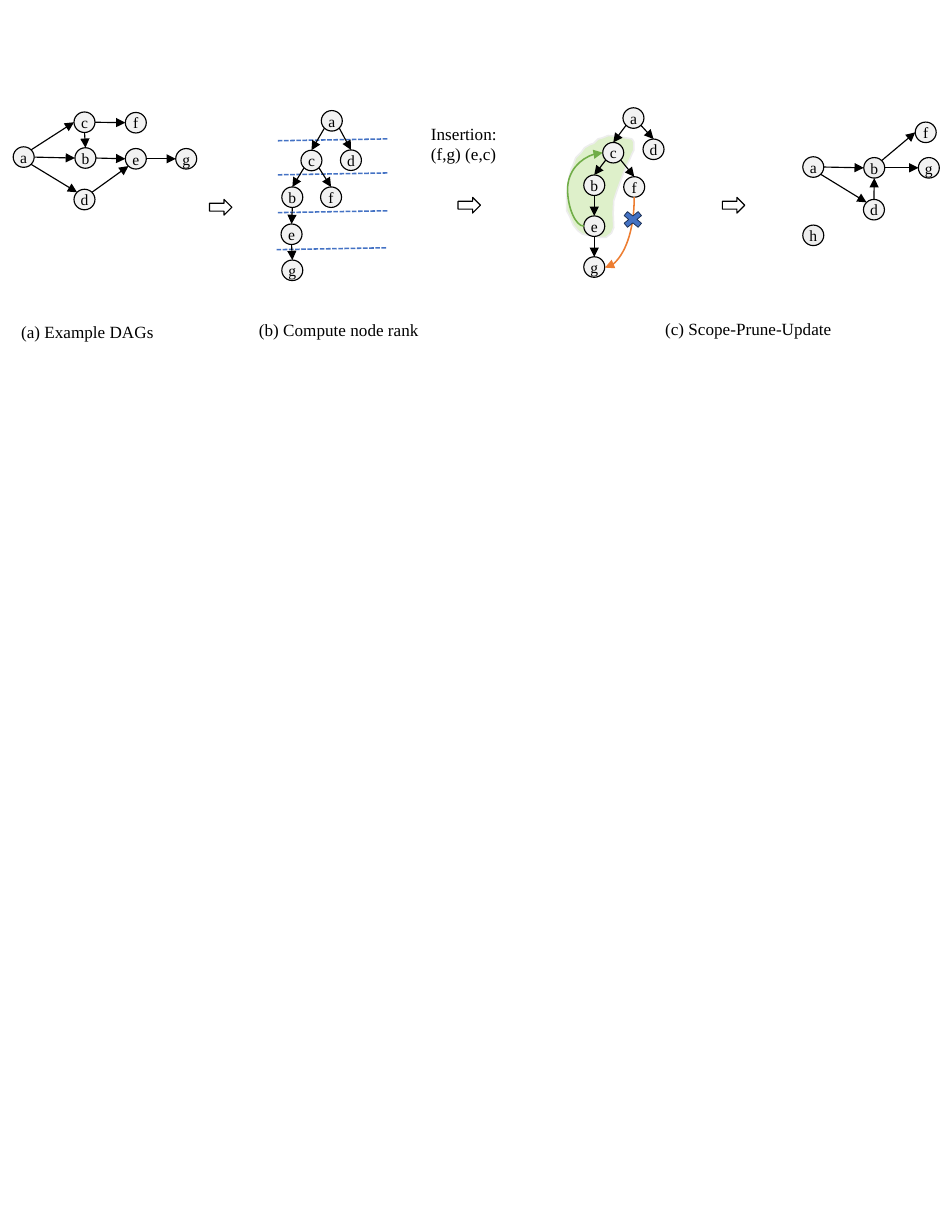
from dataclasses import dataclass
from math import sqrt

from lxml import etree
from pptx import Presentation
from pptx.dml.color import RGBColor
from pptx.enum.dml import MSO_LINE
from pptx.enum.shapes import MSO_CONNECTOR, MSO_SHAPE
from pptx.enum.text import MSO_ANCHOR, MSO_AUTO_SIZE, PP_ALIGN
from pptx.oxml.ns import qn
from pptx.util import Pt

OVAL, CROSS, ARROW = MSO_SHAPE.OVAL, MSO_SHAPE.MATH_MULTIPLY, MSO_SHAPE.RIGHT_ARROW
STRAIGHT, CURVE = MSO_CONNECTOR.STRAIGHT, MSO_CONNECTOR.CURVE
DASH = MSO_LINE.SQUARE_DOT
LEFT, CENTER = PP_ALIGN.LEFT, PP_ALIGN.CENTER
TOP, MIDDLE = MSO_ANCHOR.TOP, MSO_ANCHOR.MIDDLE
FIT, FIXED = MSO_AUTO_SIZE.SHAPE_TO_FIT_TEXT, MSO_AUTO_SIZE.NONE

FONT = "Times New Roman"
BLACK, LIGHT, GRAY, BLUE = "000000", "F2F2F2", "EDEDED", "4472C4"
NODE_W, NODE_H = 13.5, 13.2
DIAG = sqrt(0.5)
# Unit steps from a node's centre to its rim
SITES = {
    "n": (0, -1), "s": (0, 1), "w": (-1, 0), "e": (1, 0),
    "ne": (DIAG, -DIAG), "nw": (-DIAG, -DIAG),
    "se": (DIAG, DIAG), "sw": (-DIAG, DIAG),
}


@dataclass
class Graph:
    nodes: dict[str, tuple[float, float]]  # left and top of each node
    edges: str  # "node.site-node.site", split by blanks
    gray: str = ""  # nodes with the darker fill


@dataclass
class Label:
    text: str
    box: tuple[float, float, float, float]
    align: PP_ALIGN = LEFT


TREE = "b.s-e.n c.sw-b.n a.sw-c.n e.s-g.n a.se-d.n c.se-f.n"
GRAPHS = [
    Graph({"a": (8.5, 94.4), "b": (48.2, 95), "c": (47.6, 72), "d": (47.6, 121.7),
           "e": (80.6, 95.5), "f": (80.6, 72.3), "g": (113, 95.5)},
          "b.e-e.w a.e-b.w c.s-b.n a.ne-c.w e.e-g.w c.e-f.w a.se-d.nw d.ne-e.sw"),
    Graph({"a": (206.6, 71.1), "b": (181.2, 120.2), "c": (193.5, 96.6), "d": (218.9, 96.4),
           "e": (180.7, 144), "f": (206.1, 120.2), "g": (181.2, 167.2)}, TREE),
    Graph({"a": (400.5, 69.3), "b": (375.3, 112.5), "c": (387.5, 91.6), "d": (413.4, 89.4),
           "e": (375.3, 138.8), "f": (401, 113.6), "g": (375.3, 165.1)}, TREE),
    Graph({"a": (516.1, 100.8), "b": (555.3, 101.3), "d": (555.1, 128.2),
           "f": (588.4, 78.5), "g": (590.4, 101.3), "h": (516.1, 144.7)},
          "b.e-g.w a.e-b.w b.ne-f.w a.se-d.nw d.n-b.s", gray="bh"),
]
LABELS = [
    Label("(a) Example DAGs", (6.5, 203, 139, 20.6)),
    Label("(b) Compute node rank", (137.5, 201.6, 160.6, 20.6), CENTER),
    Label("(c) Scope-Prune-Update", (420.5, 200.9, 128.2, 20.6)),
    Label("Insertion:\n(f,g) (e,c)", (270, 75.6, 59.8, 33.8)),
]
RANKS = [(178.6, 90.5), (178.6, 112.4), (178.6, 136.7), (177.8, 160.5)]
STEPS = [(134.7, 128.2), (294.5, 126.9), (464.4, 126.9)]
SCOPE = [
    (406.1, 89.3), (398.5, 87.9), (391, 87.1), (387.4, 88.6), (384.5, 89.3), (381.6, 92.2),
    (379.4, 92.9), (375.8, 95), (373.7, 97.9), (370.1, 101.5), (368.6, 105.8), (367.2, 108.7),
    (365.8, 114.5), (365, 119.5), (364.3, 126), (364.3, 135.4), (366.5, 139.7), (368.6, 144.7),
    (371.5, 148.3), (374.4, 150.5), (378, 151.2), (381.6, 151.9), (385.9, 152.6),
    (389.5, 152.6), (393.1, 149.8), (394.6, 146.2), (394.2, 137), (394.6, 128.9),
    (396.7, 122.4), (399.6, 114.5), (402.5, 107.3), (404.6, 103), (406.1, 99.4),
    (407.5, 96.5), (407.5, 91.4), (406.8, 90),
]


def color(code: str) -> RGBColor:
    return RGBColor.from_string(code)


def paint(shape, fill: str | None, line: str = BLACK, width: float = 0.75) -> None:
    shape.shadow.inherit = False
    if fill:
        shape.fill.solid()
        shape.fill.fore_color.rgb = color(fill)
    else:
        shape.fill.background()
    shape.line.color.rgb = color(line)
    shape.line.width = Pt(width)


def write(shape, text: str, *, size: float = 11, align=LEFT, anchor=TOP,
          inset: tuple[float, float] = (7.2, 3.6), wrap: bool = True, fit=FIT) -> None:
    frame = shape.text_frame
    frame.margin_left = frame.margin_right = Pt(inset[0])
    frame.margin_top = frame.margin_bottom = Pt(inset[1])
    frame.word_wrap, frame.auto_size, frame.vertical_anchor = wrap, fit, anchor
    frame.text = text
    for para in frame.paragraphs:
        para.alignment = align
        para.font.name, para.font.size = FONT, Pt(size)
        para.font.color.rgb = color(BLACK)


def link(shapes, start: tuple[float, float], end: tuple[float, float], *,
         kind=STRAIGHT, line: str = BLACK, width: float = 0.75, head: bool = True):
    wire = shapes.add_connector(kind, *map(Pt, start + end))
    wire.line.color.rgb = color(line)
    wire.line.width = Pt(width)
    props = wire._element.spPr
    if head:
        etree.SubElement(props.find(qn("a:ln")), qn("a:tailEnd"), type="triangle")
    etree.SubElement(props, qn("a:effectLst"))
    return wire


def draw_graph(slide, graph: Graph) -> None:
    shapes = slide.shapes.add_group_shape().shapes

    def spot(name: str) -> tuple[float, float]:
        node, site = name.split(".")
        (x, y), (dx, dy) = graph.nodes[node], SITES[site]
        return x + NODE_W / 2 * (1 + dx), y + NODE_H / 2 * (1 + dy)

    for edge in graph.edges.split():
        start, end = edge.split("-")
        link(shapes, spot(start), spot(end))
    for name, place in graph.nodes.items():
        node = shapes.add_shape(OVAL, *map(Pt, (*place, NODE_W, NODE_H)))
        paint(node, GRAY if name in graph.gray else LIGHT)
        write(node, name, size=10, align=CENTER, anchor=MIDDLE, inset=(0, 0), fit=FIXED)


def draw_scope(slide) -> None:
    points = [(Pt(x), Pt(y)) for x, y in SCOPE]
    pen = slide.shapes.build_freeform(*points[0])
    pen.add_line_segments(points[1:], close=True)
    area = pen.convert_to_shape()
    paint(area, "92D050", GRAY, 1)
    tint = area._element.spPr.find(qn("a:solidFill")).find(qn("a:srgbClr"))
    etree.SubElement(tint, qn("a:alpha"), val="30000")


def draw_curves(slide) -> None:
    # Inserted edge from e back to c
    back = link(slide.shapes, (375.3, 145.4), (387.5, 98.2), kind=CURVE, line="70AD47", width=1)
    guides = back._element.spPr.find(qn("a:prstGeom")).find(qn("a:avLst"))
    etree.SubElement(guides, qn("a:gd"), name="adj1", fmla="val -85400")
    # Pruned edge from f to g, a quarter bend turned clockwise
    down = link(slide.shapes, (375.6, 140), (421, 158.8), kind=CURVE, line="ED7D31", width=1)
    props = down._element.spPr
    props.find(qn("a:prstGeom")).set("prst", "curvedConnector2")
    props.find(qn("a:xfrm")).set("rot", "5400000")
    cross = slide.shapes.add_shape(CROSS, *map(Pt, (398.2, 133.9, 17.3, 14.4)))
    paint(cross, BLUE, "1E3256", 0.5)


def main() -> None:
    deck = Presentation()
    deck.slide_width, deck.slide_height = Pt(612), Pt(792)
    slide = deck.slides.add_slide(deck.slide_layouts[6])
    draw_scope(slide)
    # Rank levels
    for x, y in RANKS:
        level = link(slide.shapes, (x, y), (x + 70.5, y - 1.2), line=BLUE, width=1, head=False)
        level.line.dash_style = DASH
    # Captions and note
    for label in LABELS:
        box = slide.shapes.add_textbox(*map(Pt, label.box))
        write(box, label.text, align=label.align)
    for graph in GRAPHS:
        draw_graph(slide, graph)
    draw_curves(slide)
    # Arrows between the stages
    for place in STEPS:
        paint(slide.shapes.add_shape(ARROW, *map(Pt, (*place, 14.4, 10.1))), None)
    deck.save("out.pptx")


if __name__ == "__main__":
    main()
